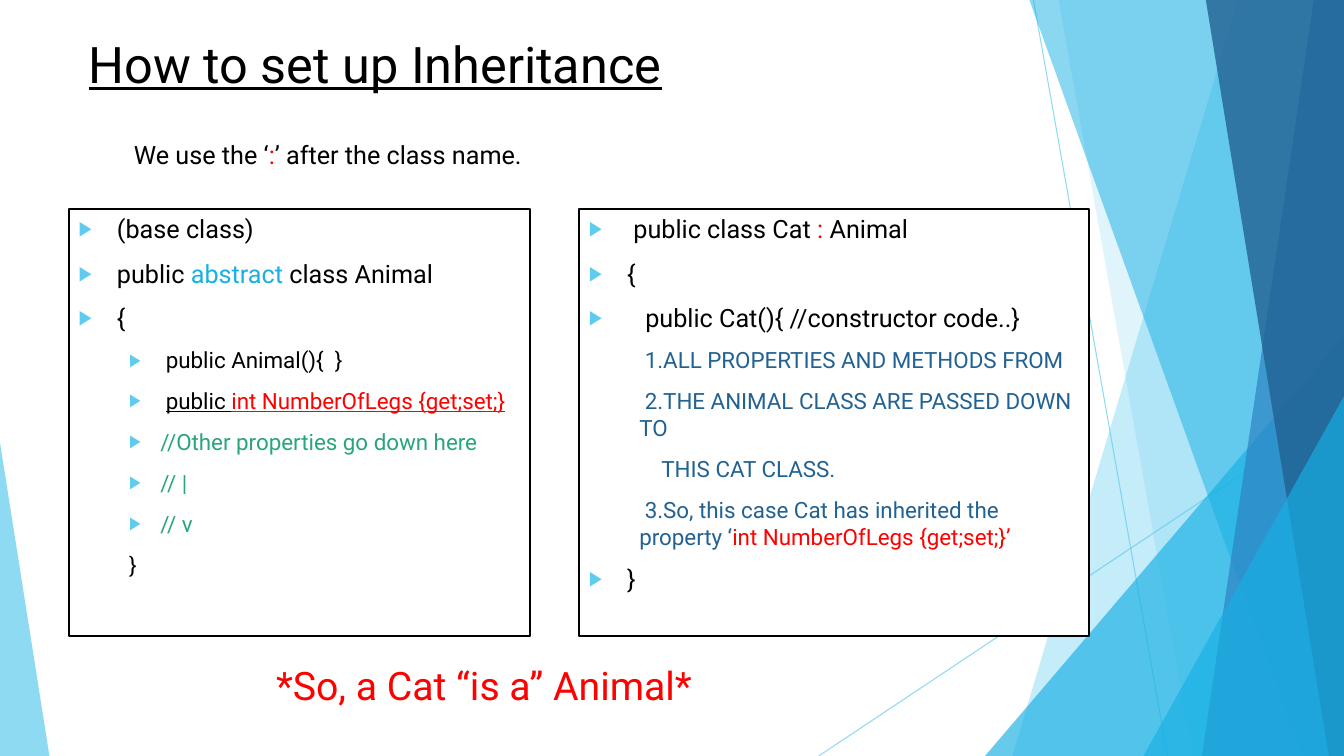
from lxml import etree
from pptx import Presentation
from pptx import util as u
from pptx.dml.color import RGBColor
from pptx.enum import shapes, text
from pptx.oxml.ns import qn

COLORS = {
    "black": "000000", "white": "FFFFFF", "red": "FF0000", "green": "29A57D",
    "sky": "5FCBEF", "azure": "17B0E4", "blue": "2E83C3", "navy": "226292",
}
FONT = "Roboto"
WIDTH, HEIGHT = 13.33, 7.5


def paint(fill, color, opacity=100):
    """Give a fill a solid colour with an opacity in percent."""
    fill.solid()
    fill.fore_color.rgb = RGBColor.from_string(COLORS[color])
    if opacity < 100:
        for rgb in fill._xPr.iter(qn("a:srgbClr")):
            etree.SubElement(rgb, qn("a:alpha"), val=str(opacity * 1000))


def write(paragraph, runs, size, underline=False):
    """Fill a paragraph with (words, colour) runs in one size."""
    paragraph.text = ""
    for words, color in runs:
        run = paragraph.add_run()
        run.text = words
        run.font.name = FONT
        run.font.size = u.Pt(size)
        run.font.underline = underline
        run.font.color.rgb = RGBColor.from_string(COLORS[color])


deck = Presentation()
deck.slide_width, deck.slide_height = u.Inches(WIDTH), u.Inches(HEIGHT)
slide = deck.slides.add_slide(deck.slide_layouts[3])
title, base_class, cat_class = list(slide.placeholders)[:3]
for unused in list(slide.placeholders)[3:]:
    unused.element.getparent().remove(unused.element)

# Background rays
for x1, y1, x2, y2 in [(10.25, 0, 11.58, HEIGHT), (WIDTH, 4.03, 8.12, HEIGHT)]:
    ray = slide.shapes.add_connector(
        shapes.MSO_CONNECTOR.STRAIGHT, *map(u.Inches, (x1, y1, x2, y2)))
    ray.line.width = u.Pt(0.75)
    paint(ray.line.fill, "sky", 70)
    etree.SubElement(ray._element.spPr, qn("a:effectLst"))

# Background facets: bands (top x, bottom x) and triangles (left, top, width, apex)
facets = [
    ("band", (12.28, 10.04), "sky", 36),
    ("band", (10.5, 11.83), "sky", 20),
    ("triangle", (9.77, 3.33, 3.56, 1), "azure", 66),
    ("band", (10.21, 12.91), "azure", 50),
    ("band", (13.03, 11.92), "blue", 70),
    ("band", (11.96, 13.18), "navy", 80),
    ("triangle", (11.34, 3.93, 1.99, 1), "azure", 66),
    ("triangle", (0, 4.39, 0.49, 0), "sky", 70),
]
for kind, place, color, opacity in facets:
    if kind == "band":
        top_x, bottom_x = place
        outline = slide.shapes.build_freeform(u.Inches(top_x), 0)
        outline.add_line_segments(
            [(u.Inches(x), u.Inches(y)) for x, y in
             [(WIDTH, 0), (WIDTH, HEIGHT), (bottom_x, HEIGHT)]])
        facet = outline.convert_to_shape()
    else:
        left, top, width, apex = place
        facet = slide.shapes.add_shape(
            shapes.MSO_SHAPE.ISOSCELES_TRIANGLE,
            *map(u.Inches, (left, top, width, HEIGHT - top)))
        facet.adjustments[0] = apex
    paint(facet.fill, color, opacity)
    facet.line.fill.background()
    facet.shadow.inherit = False

# Title and code boxes go in front of the background
for holder, (left, top, width, height) in [
        (title, (0.78, 0.28, 9.58, 1.32)),
        (base_class, (0.68, 2.07, 4.58, 4.24)),
        (cat_class, (5.74, 2.07, 5.06, 4.24))]:
    holder.element.getparent().append(holder.element)
    holder.left, holder.top = u.Inches(left), u.Inches(top)
    holder.width, holder.height = u.Inches(width), u.Inches(height)
    holder.text_frame.auto_size = text.MSO_AUTO_SIZE.NONE
    holder.text_frame.vertical_anchor = text.MSO_ANCHOR.TOP

heading = title.text_frame.paragraphs[0]
write(heading, [("How to set up Inheritance", "black")], 36, underline=True)
heading.alignment = text.PP_ALIGN.LEFT

# Each line: level, left margin, hanging bullet indent (0 = no bullet), runs
base_lines = [
    (0, 0.38, 0.38, [("(base class)", "black")]),
    (0, 0.38, 0.38, [("public ", "black"), ("abstract", "azure"),
                     (" class Animal", "black")]),
    (0, 0.38, 0.38, [("{", "black")]),
    (1, 0.81, 0.31, [(" public Animal(){  }", "black")]),
    (1, 0.81, 0.31, [(" ", "black"), ("public ", "black"),
                     ("int NumberOfLegs {get;set;}", "red")]),
    (1, 0.81, 0.31, [("//Other properties go down here", "green")]),
    (1, 0.81, 0.31, [("// |", "green")]),
    (1, 0.81, 0.31, [("// v", "green")]),
    (1, 0.5, 0, [("}", "black")]),
]
cat_lines = [
    (0, 0.38, 0.38, [(" public class Cat ", "black"), (":", "red"),
                     (" Animal", "black")]),
    (0, 0.38, 0.38, [("{", "black")]),
    (0, 0.56, 0.56, [("public Cat(){ //constructor code..}", "black")]),
    (1, 0.5, 0, [(" 1.ALL PROPERTIES AND METHODS FROM", "navy")]),
    (1, 0.5, 0, [(" 2.THE ANIMAL CLASS ARE PASSED DOWN TO", "navy")]),
    (1, 0.72, 0, [("THIS CAT CLASS.", "navy")]),
    (1, 0.5, 0, [(" 3.So, this case Cat has inherited the property ‘", "navy"),
                 ("int NumberOfLegs {get;set;}’", "red")]),
    (0, 0.38, 0.38, [("}", "black")]),
]
for box, lines in [(base_class, base_lines), (cat_class, cat_lines)]:
    paint(box.fill, "white")
    paint(box.line.fill, "black")
    box.line.width = u.Pt(1.5)
    box.text_frame.text = "\n" * (len(lines) - 1)
    for paragraph, (level, margin, hang, runs) in zip(
            box.text_frame.paragraphs, lines):
        write(paragraph, runs, 16 if level else 18)
        paragraph.level = level
        paragraph.space_before = u.Pt(10)
        props = paragraph._p.get_or_add_pPr()
        props.set("marL", str(u.Inches(margin)))
        props.set("indent", str(-u.Inches(hang)))
        if hang:
            bullet_color = etree.SubElement(props, qn("a:buClr"))
            etree.SubElement(bullet_color, qn("a:srgbClr"), val=COLORS["sky"])
            etree.SubElement(props, qn("a:buSzPct"), val="80000")
            etree.SubElement(props, qn("a:buChar"), char="▶")
        else:
            etree.SubElement(props, qn("a:buNone"))

# The property that Cat inherits is underlined
for run in base_class.text_frame.paragraphs[4].runs[1:]:
    run.font.underline = True

# Remarks below and above the boxes
for place, size, runs in [
        ((2.64, 6.51, 7.3, 0.57), 28, [("*So, a Cat “is a” Animal*", "red")]),
        ((1.23, 1.33, 6.67, 0.4), 18, [("We use the ‘", "black"), (":", "red"),
                                       ("’ after the class name.", "black")])]:
    remark = slide.shapes.add_textbox(*map(u.Inches, place))
    remark.text_frame.word_wrap = True
    write(remark.text_frame.paragraphs[0], runs, size)

deck.save("out.pptx")
